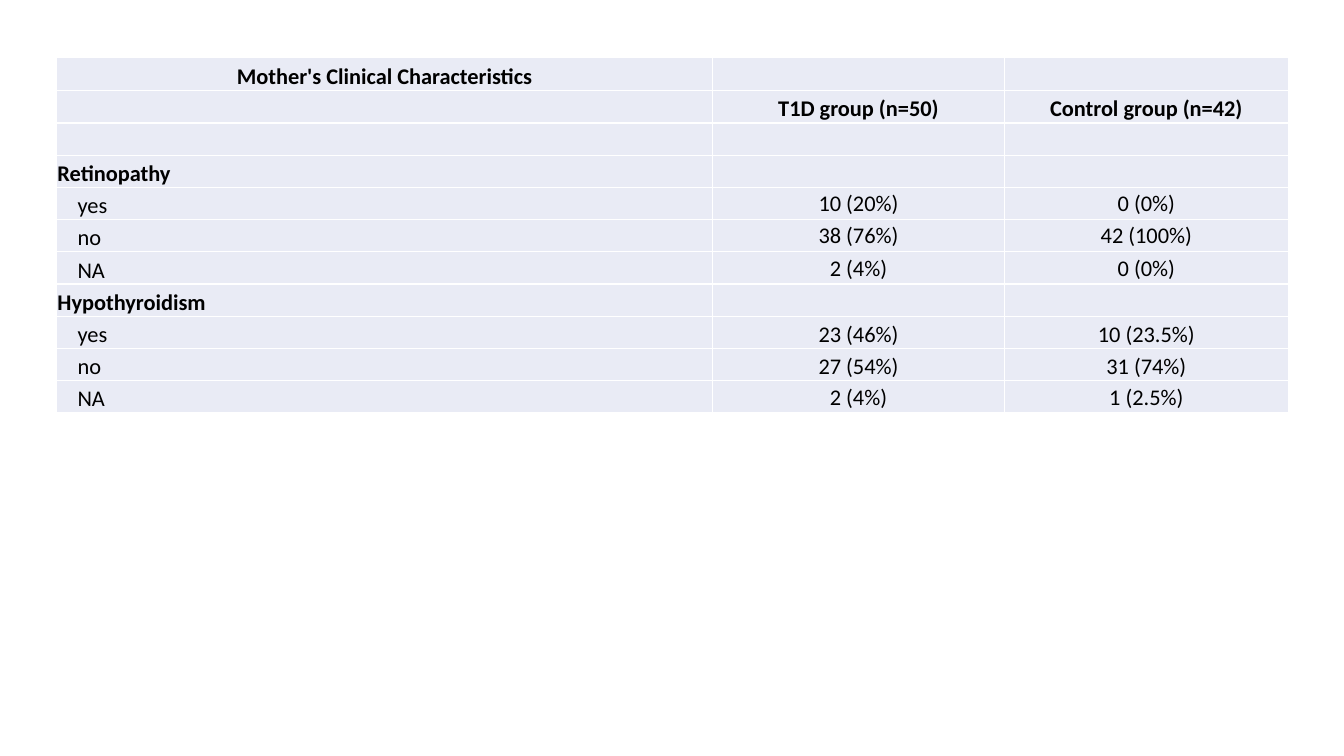
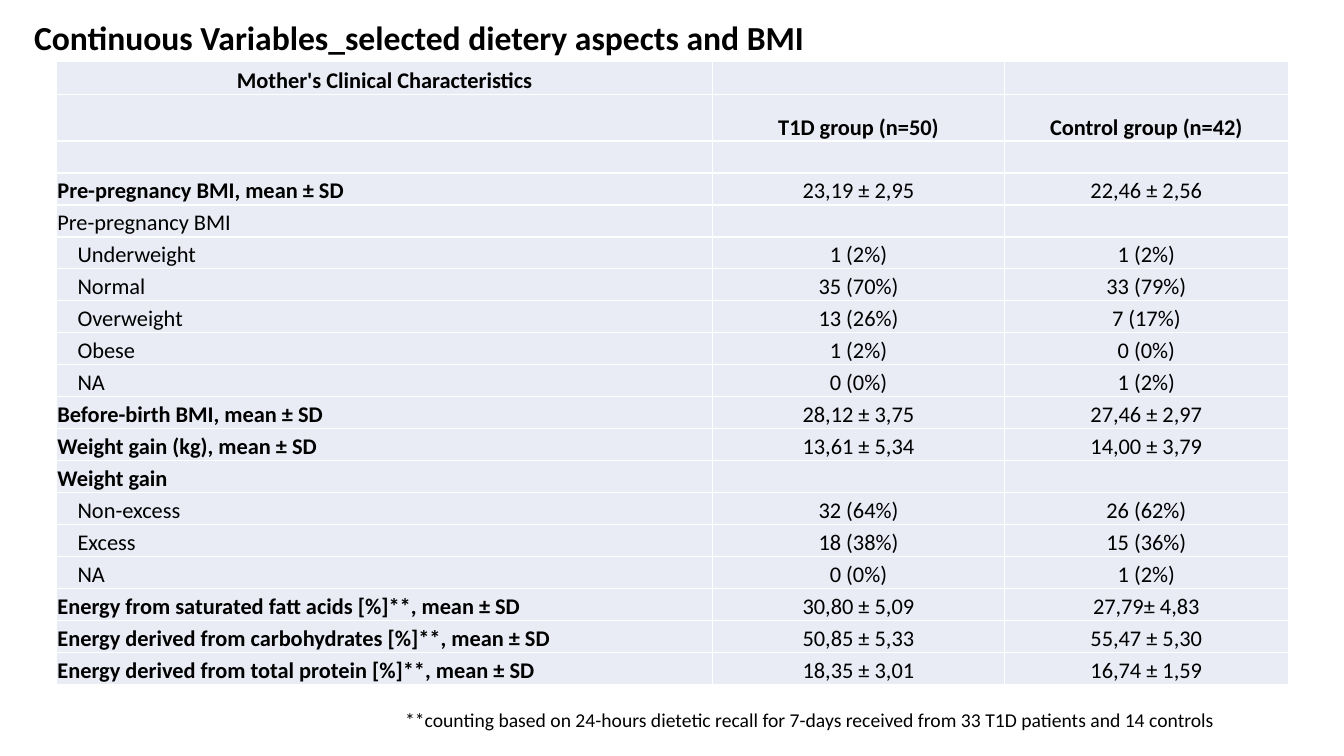
from dataclasses import dataclass

from lxml.etree import SubElement
from pptx import Presentation
from pptx.dml.color import RGBColor
from pptx.enum.text import MSO_ANCHOR, MSO_AUTO_SIZE, PP_ALIGN
from pptx.oxml.ns import qn
from pptx.slide import Slide
from pptx.table import _Cell
from pptx.text.text import _Paragraph
from pptx.util import Inches, Pt

# Shared style
FONT = "Calibri"
BLACK, WHITE, CELL_FILL = "000000", "FFFFFF", "E9EBF5"
SLIDE_W, SLIDE_H = 13.33, 7.5
TABLE_LEFT = 0.56
COL_WIDTHS = (6.51, 2.89, 2.82)
FIRST_ROW_H = 0.33
CELL_MARGIN, INDENT = 0.01, 0.21
TABLE_SIZE, TITLE_SIZE, NOTE_SIZE = 16, 24, 14


@dataclass(frozen=True)
class Row:
    label: str = ""
    t1d: str = ""
    control: str = ""
    bold: bool = False
    indent: bool = False
    middle: bool = False  # values centred vertically
    heading: bool = False  # bold and centred in every column


@dataclass(frozen=True)
class TableSpec:
    top: float
    height: float
    group_row_h: float
    rows: tuple[Row, ...]


def head(label: str, t1d: str = "", control: str = "") -> Row:
    return Row(label, t1d, control, bold=True)


def sub(label: str, t1d: str, control: str, middle: bool = False) -> Row:
    return Row(label, t1d, control, indent=True, middle=middle)


HEADER = (
    Row("Mother's Clinical Characteristics", heading=True),
    Row("", "T1D group (n=50)", "Control group (n=42)", heading=True),
    Row(),
)

CONDITIONS = TableSpec(0.57, 3.53, 0.32, HEADER + (
    head("Retinopathy"),
    sub("yes", "10 (20%)", "0 (0%)", middle=True),
    sub("no", "38 (76%)", "42 (100%)", middle=True),
    sub("NA", "2 (4%)", "0 (0%)", middle=True),
    head("Hypothyroidism"),
    sub("yes", "23 (46%)", "10 (23.5%)"),
    sub("no", "27 (54%)", "31 (74%)"),
    sub("NA", "2 (4%)", "1 (2.5%)", middle=True),
))

DIET_AND_BMI = TableSpec(0.61, 6.18, 0.46, HEADER + (
    head("Pre-pregnancy BMI, mean ± SD", "23,19 ± 2,95", "22,46 ± 2,56"),
    Row("Pre-pregnancy BMI"),
    sub("Underweight", "1 (2%)", "1 (2%)"),
    sub("Normal", "35 (70%)", "33 (79%)"),
    sub("Overweight", "13 (26%)", "7 (17%)"),
    sub("Obese", "1 (2%)", "0 (0%)"),
    sub("NA", "0 (0%)", "1 (2%)"),
    head("Before-birth BMI, mean ± SD", "28,12 ± 3,75", "27,46 ± 2,97"),
    head("Weight gain (kg), mean ± SD", "13,61 ± 5,34", "14,00 ± 3,79"),
    head("Weight gain"),
    sub("Non-excess", "32 (64%)", "26 (62%)"),
    sub("Excess", "18 (38%)", "15 (36%)"),
    sub("NA", "0 (0%)", "1 (2%)"),
    head("Energy from saturated fatt acids [%]**, mean ± SD",
         "30,80 ± 5,09", "27,79± 4,83"),
    head("Energy derived from carbohydrates [%]**, mean ± SD",
         "50,85 ± 5,33", "55,47 ± 5,30"),
    head("Energy derived from total protein [%]**, mean ± SD",
         "18,35 ± 3,01", "16,74 ± 1,59"),
))


def rgb(value: str) -> RGBColor:
    return RGBColor.from_string(value)


def set_font(p: _Paragraph, size: float, bold: bool = False) -> None:
    p.font.name = FONT
    p.font.size = Pt(size)
    p.font.bold = bold
    p.font.color.rgb = rgb(BLACK)


def style_cell(cell: _Cell) -> None:
    """White borders all round, then the fill."""
    tc_pr = cell._tc.get_or_add_tcPr()
    for side in ("lnL", "lnR", "lnT", "lnB"):
        ln = SubElement(tc_pr, qn(f"a:{side}"), w=str(Pt(1)))
        SubElement(SubElement(ln, qn("a:solidFill")), qn("a:srgbClr"), val=WHITE)
    cell.fill.solid()
    cell.fill.fore_color.rgb = rgb(CELL_FILL)
    cell.margin_left = cell.margin_right = cell.margin_top = Inches(CELL_MARGIN)
    cell.margin_bottom = 0


def write_cell(cell: _Cell, row: Row, col: int, text: str) -> None:
    style_cell(cell)
    is_label = col == 0
    if is_label and row.indent:
        cell.margin_left = Inches(INDENT)
    centred_v = row.middle and not is_label
    cell.vertical_anchor = MSO_ANCHOR.MIDDLE if centred_v else MSO_ANCHOR.BOTTOM
    p = cell.text_frame.paragraphs[0]
    if text:
        p.text = text
    centred_h = row.heading or not is_label
    p.alignment = PP_ALIGN.CENTER if centred_h else PP_ALIGN.LEFT
    set_font(p, TABLE_SIZE, row.heading or (is_label and row.bold))


def add_data_table(s: Slide, spec: TableSpec) -> None:
    n = len(spec.rows)
    table = s.shapes.add_table(
        n, len(COL_WIDTHS), Inches(TABLE_LEFT), Inches(spec.top),
        Inches(sum(COL_WIDTHS)), Inches(spec.height)).table
    table.first_row = table.horz_banding = False
    for column, width in zip(table.columns, COL_WIDTHS):
        column.width = Inches(width)
    # Rows below the two header rows share the remaining height
    body_h = (spec.height - FIRST_ROW_H - spec.group_row_h) / (n - 2)
    heights = [FIRST_ROW_H, spec.group_row_h] + [body_h] * (n - 2)
    for i, (row, height) in enumerate(zip(spec.rows, heights)):
        table.rows[i].height = Inches(height)
        for col, text in enumerate((row.label, row.t1d, row.control)):
            write_cell(table.cell(i, col), row, col, text)


def add_text(s: Slide, text: str, left: float, top: float, width: float,
             height: float, size: float, bold: bool = False) -> None:
    tf = s.shapes.add_textbox(Inches(left), Inches(top), Inches(width),
                              Inches(height)).text_frame
    tf.word_wrap = True
    tf.auto_size = MSO_AUTO_SIZE.SHAPE_TO_FIT_TEXT
    p = tf.paragraphs[0]
    p.text = text
    set_font(p, size, bold)


def main() -> None:
    prs = Presentation()
    prs.slide_width, prs.slide_height = Inches(SLIDE_W), Inches(SLIDE_H)
    blank = prs.slide_layouts[6]

    # Slide 1: clinical conditions
    s = prs.slides.add_slide(blank)
    add_data_table(s, CONDITIONS)

    # Slide 2: diet and BMI
    s = prs.slides.add_slide(blank)
    add_data_table(s, DIET_AND_BMI)
    add_text(s, "Continuous Variables_selected dietery aspects and BMI",
             0.24, 0.12, 11.27, 0.5, TITLE_SIZE, bold=True)
    add_text(s, "**counting based on 24-hours dietetic recall for 7-days "
                "received from 33 T1D patients and 14 controls",
             3.92, 6.97, 8.43, 0.34, NOTE_SIZE)

    prs.save("out.pptx")


if __name__ == "__main__":
    main()
